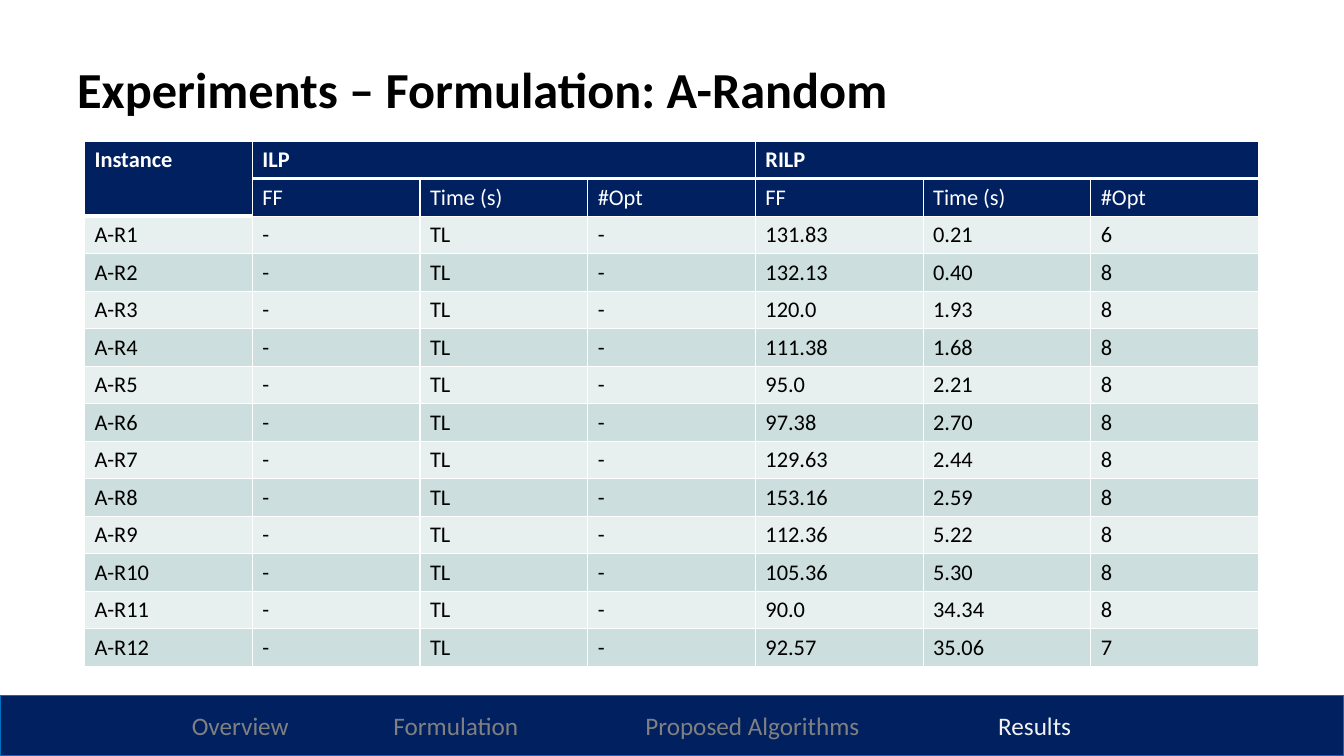
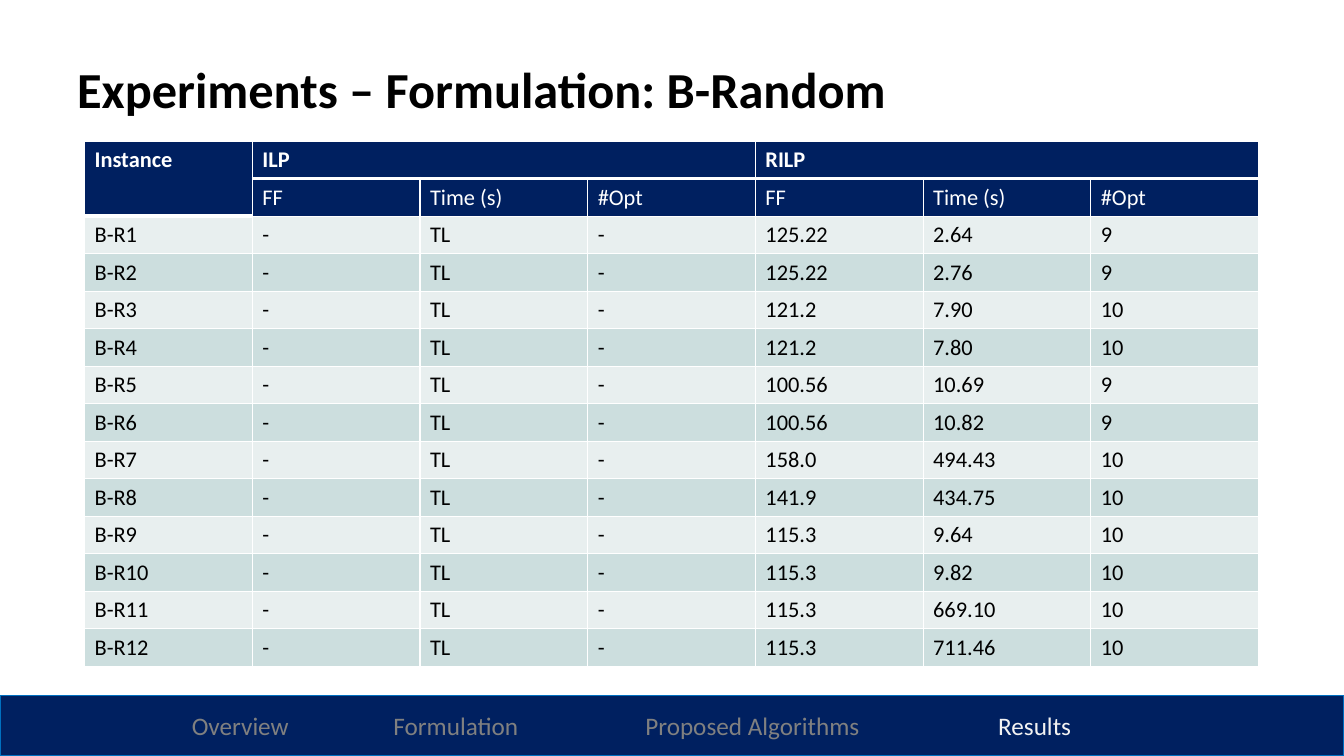
from dataclasses import dataclass

from lxml.etree import SubElement
from pptx import Presentation
from pptx.dml.color import RGBColor
from pptx.enum.shapes import MSO_SHAPE
from pptx.enum.text import MSO_ANCHOR, PP_ALIGN
from pptx.oxml.ns import qn
from pptx.slide import Slide
from pptx.table import _Cell
from pptx.text.text import _Run
from pptx.util import Pt

COLORS = {
    "navy": "002060",
    "blue": "0070C0",
    "white": "FFFFFF",
    "black": "000000",
    "grey": "808080",
    "active": "F2F2F2",
    "band_light": "E8EFEF",
    "band_dark": "CCDEDE",
}
FONT = "Calibri"
SLIDE_W, SLIDE_H = 960, 540
TITLE_BOX = (48, 43.2, 838.8, 89.2)
TABLE_LEFT, TABLE_TOP = 60.4, 100.8
COL_W, ROW_H = 119.8, 26.8
FOOTER_H = 43.2
GROUPS = ("ILP", "RILP")
MEASURES = ("FF", "Time (s)", "#Opt")
UNSOLVED = ("-", "TL", "-")
HEADER_ROWS = 2


@dataclass(frozen=True)
class Section:
    name: str
    left: float


@dataclass(frozen=True)
class Result:
    ff: str
    time: str
    opt: str


@dataclass(frozen=True)
class Experiment:
    family: str
    results: tuple[Result, ...]


SECTIONS = (
    Section("Overview", 137),
    Section("Formulation", 281),
    Section("Proposed Algorithms", 461),
    Section("Results", 713),
)
ACTIVE_SECTION = "Results"

EXPERIMENTS = (
    Experiment("A", (
        Result("131.83", "0.21", "6"),
        Result("132.13", "0.40", "8"),
        Result("120.0", "1.93", "8"),
        Result("111.38", "1.68", "8"),
        Result("95.0", "2.21", "8"),
        Result("97.38", "2.70", "8"),
        Result("129.63", "2.44", "8"),
        Result("153.16", "2.59", "8"),
        Result("112.36", "5.22", "8"),
        Result("105.36", "5.30", "8"),
        Result("90.0", "34.34", "8"),
        Result("92.57", "35.06", "7"),
    )),
    Experiment("B", (
        Result("125.22", "2.64", "9"),
        Result("125.22", "2.76", "9"),
        Result("121.2", "7.90", "10"),
        Result("121.2", "7.80", "10"),
        Result("100.56", "10.69", "9"),
        Result("100.56", "10.82", "9"),
        Result("158.0", "494.43", "10"),
        Result("141.9", "434.75", "10"),
        Result("115.3", "9.64", "10"),
        Result("115.3", "9.82", "10"),
        Result("115.3", "669.10", "10"),
        Result("115.3", "711.46", "10"),
    )),
)


def rgb(name: str) -> RGBColor:
    """Return the palette colour with this name."""
    return RGBColor.from_string(COLORS[name])


def style_run(r: _Run, size: float, color: str, bold: bool = False) -> None:
    """Set the font, size, colour and weight of a run."""
    r.font.name = FONT
    r.font.size = Pt(size)
    r.font.bold = bold
    r.font.color.rgb = rgb(color)


def add_title(s: Slide, text: str) -> None:
    """Add the slide title."""
    tf = s.shapes.add_textbox(*map(Pt, TITLE_BOX)).text_frame
    tf.word_wrap = True
    tf.text = text
    p = tf.paragraphs[0]
    p.line_spacing = 0.9
    style_run(p.runs[0], 36, "black", bold=True)


def add_footer(s: Slide) -> None:
    """Add the navigation bar with the active section highlighted."""
    sp = s.shapes.add_shape(MSO_SHAPE.RECTANGLE, 0, Pt(SLIDE_H - FOOTER_H),
                            Pt(SLIDE_W), Pt(FOOTER_H))
    sp.shadow.inherit = False
    sp.fill.solid()
    sp.fill.fore_color.rgb = rgb("navy")
    sp.line.color.rgb = rgb("blue")
    sp.line.width = Pt(1)
    tf = sp.text_frame
    tf.margin_left = tf.margin_right = 0
    tf.vertical_anchor = MSO_ANCHOR.MIDDLE
    p = tf.paragraphs[0]
    p.alignment = PP_ALIGN.LEFT
    tabs = SubElement(p._p.get_or_add_pPr(), qn("a:tabLst"))
    for section in SECTIONS:
        SubElement(tabs, qn("a:tab"), pos=str(Pt(section.left)), algn="l")
        r = p.add_run()
        r.text = f"\t{section.name}"
        style_run(r, 18, "active" if section.name == ACTIVE_SECTION else "grey")


def set_borders(cell: _Cell, top: float, bottom: float) -> None:
    """Draw white borders around a cell."""
    tc_pr = cell._tc.get_or_add_tcPr()
    for side, width in (("L", 1), ("R", 1), ("T", top), ("B", bottom)):
        ln = SubElement(tc_pr, qn(f"a:ln{side}"), w=str(Pt(width)))
        fill = SubElement(ln, qn("a:solidFill"))
        SubElement(fill, qn("a:srgbClr"), val=COLORS["white"])


def table_rows(experiment: Experiment) -> list[tuple[str, ...]]:
    """Return the header and body texts of a results table."""
    span = len(MEASURES)
    groups = [text for group in GROUPS for text in (group, *[""] * (span - 1))]
    rows = [("Instance", *groups), ("", *MEASURES * len(GROUPS))]
    for i, result in enumerate(experiment.results, start=1):
        rows.append((f"{experiment.family}-R{i}", *UNSOLVED,
                     result.ff, result.time, result.opt))
    return rows


def row_fill(row: int) -> str:
    """Return the fill colour name of a table row."""
    if row < HEADER_ROWS:
        return "navy"
    return "band_light" if row % 2 == 0 else "band_dark"


def add_results_table(s: Slide, experiment: Experiment) -> None:
    """Add the table comparing both formulations."""
    rows = table_rows(experiment)
    n_rows, n_cols = len(rows), len(rows[0])
    table = s.shapes.add_table(n_rows, n_cols, Pt(TABLE_LEFT), Pt(TABLE_TOP),
                               Pt(n_cols * COL_W), Pt(n_rows * ROW_H)).table
    table.horz_banding = False
    for column in table.columns:
        column.width = Pt(COL_W)
    for row, texts in enumerate(rows):
        table.rows[row].height = Pt(ROW_H)
        for col, text in enumerate(texts):
            cell = table.cell(row, col)
            rule = HEADER_ROWS if col == 0 else 1
            set_borders(cell, 3 if row == rule else 1, 3 if row < rule else 1)
            cell.fill.solid()
            cell.fill.fore_color.rgb = rgb(row_fill(row))
            cell.text_frame.text = text
            for r in cell.text_frame.paragraphs[0].runs:
                style_run(r, 16, "white" if row < HEADER_ROWS else "black",
                          bold=row == 0)
    table.cell(0, 0).merge(table.cell(HEADER_ROWS - 1, 0))
    span = len(MEASURES)
    for first in range(1, n_cols, span):
        table.cell(0, first).merge(table.cell(0, first + span - 1))


def main() -> None:
    """Build the presentation."""
    prs = Presentation()
    prs.slide_width, prs.slide_height = Pt(SLIDE_W), Pt(SLIDE_H)
    for experiment in EXPERIMENTS:
        s = prs.slides.add_slide(prs.slide_layouts[6])
        add_title(s, f"Experiments – Formulation: {experiment.family}-Random")
        add_results_table(s, experiment)
        add_footer(s)
    prs.save("out.pptx")


if __name__ == "__main__":
    main()
